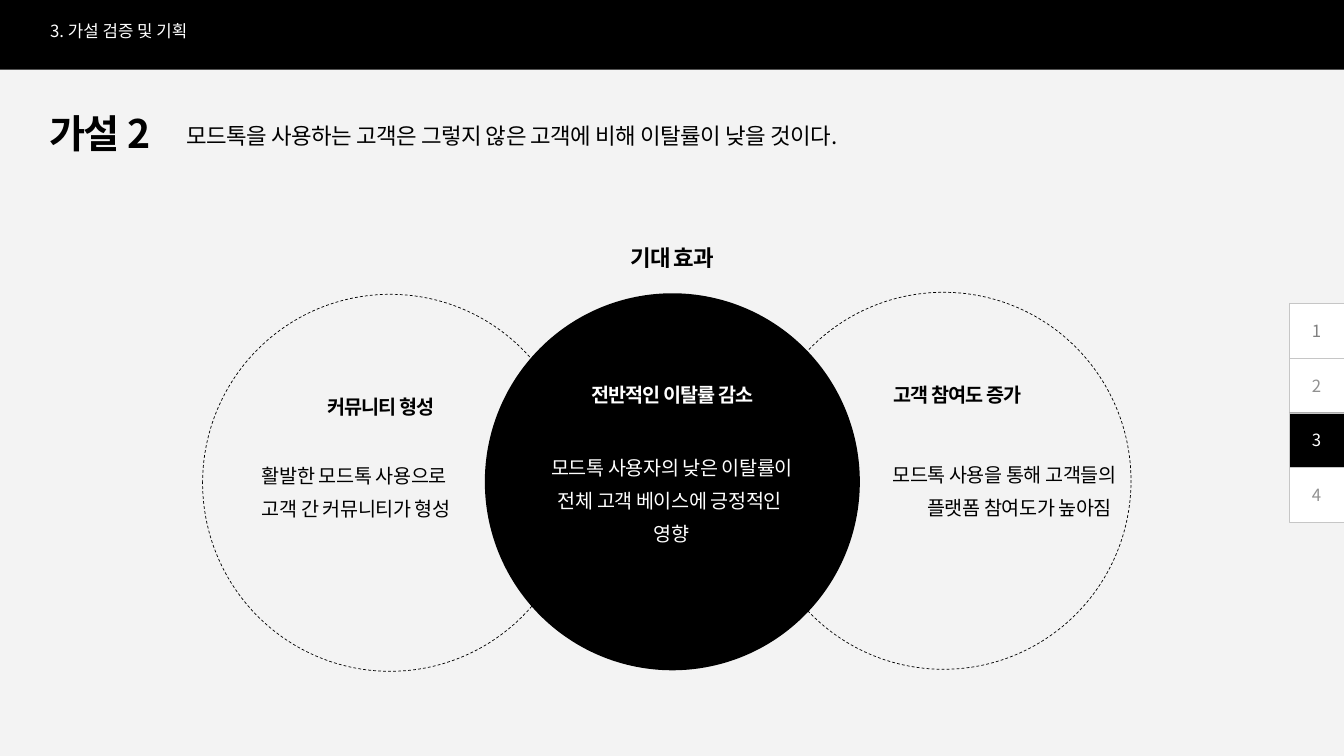
import pptx
import pptx.dml.color
import pptx.enum.dml
import pptx.enum.shapes
import pptx.enum.text
import pptx.oxml.ns
import pptx.util
from dataclasses import dataclass
from lxml import etree

ALIGN = pptx.enum.text.PP_ALIGN
SHAPE = pptx.enum.shapes.MSO_SHAPE
COLUMNS, ROWS = 133.33, 75
CELL = 0.1


@dataclass(frozen=True)
class Theme:
    font: str = "Noto Sans CJK KR"
    ground: str = "F3F3F3"
    ink: str = "000000"
    paper: str = "FFFFFF"
    rule: str = "C6C6C6"
    muted: str = "919191"
    muted_first: str = "808080"
    headline: int = 28
    lead: int = 16
    body: int = 14
    small: int = 12
    hairline: float = 0.5
    tight: float = -0.7
    snug: float = -0.3


THEME = Theme()


def rgb(value):
    return pptx.dml.color.RGBColor.from_string(value)


def grid(*cells):
    return [pptx.util.Inches(round(cell * CELL, 3)) for cell in cells]


def write(tf, lines, size, color, bold=False, align=ALIGN.LEFT, leading=None, tracking=0):
    formats = {"size": pptx.util.Pt(size), "bold": bold, "name": THEME.font}
    for index, line in enumerate(lines):
        p = tf.add_paragraph() if index else tf.paragraphs[0]
        p.alignment = align
        if leading:
            p.line_spacing = leading
        r = p.add_run()
        r.text = line
        r.font.color.rgb = rgb(color)
        for name, value in formats.items():
            setattr(r.font, name, value)
        rpr = r._r.get_or_add_rPr()
        if tracking:
            rpr.set("spc", str(round(tracking * 100)))
        ea = etree.SubElement(rpr, pptx.oxml.ns.qn("a:ea"))
        ea.set("typeface", THEME.font)


def add_text(s, box, lines, size=THEME.body, color=THEME.ink, **style):
    tf = s.shapes.add_textbox(*grid(*box)).text_frame
    tf.word_wrap = True
    tf.auto_size = pptx.enum.text.MSO_AUTO_SIZE.SHAPE_TO_FIT_TEXT
    write(tf, lines, size, color, **style)


def add_heading(s, box, text, **style):
    add_text(s, box, [text], bold=True, align=ALIGN.CENTER, tracking=THEME.tight, **style)


def add_body(s, box, lines, **style):
    add_text(s, box, lines, leading=1.4, tracking=THEME.snug, **style)


def add_figure(s, kind, box, fill, line=None, dashed=False):
    sp = s.shapes.add_shape(kind, *grid(*box))
    sp.shadow.inherit = False
    sp.fill.solid()
    sp.fill.fore_color.rgb = rgb(fill)
    if line:
        sp.line.color.rgb = rgb(line)
        sp.line.width = pptx.util.Pt(THEME.hairline)
        if dashed:
            sp.line.dash_style = pptx.enum.dml.MSO_LINE.DASH
    else:
        sp.line.fill.background()
    return sp


def add_circle(s, left, top, fill=THEME.ground, **outline):
    add_figure(s, SHAPE.OVAL, (left, top, 37.2, 37.4), fill, **outline)


def add_page_tabs(s, current, count=4, side=5.43):
    for index in range(count):
        number = index + 1
        active = number == current
        box = (COLUMNS - side, 30.1 + index * side, side, side)
        sp = add_figure(s, SHAPE.RECTANGLE, box, THEME.ink if active else THEME.paper, THEME.rule)
        sp.text_frame.vertical_anchor = pptx.enum.text.MSO_ANCHOR.MIDDLE
        idle = THEME.muted if index else THEME.muted_first
        color = THEME.paper if active else idle
        write(sp.text_frame, [str(number)], THEME.small, color, align=ALIGN.CENTER)


def add_effects(s):
    for left, top in ((20.1, 29.2), (75, 29)):
        add_circle(s, left, top, line=THEME.ink, dashed=True)
    add_heading(s, (24.6, 37.5, 26.4, 4.5), "커뮤니티 형성", leading=1.5)
    add_body(s, (25, 44.6, 24.5, 7.5), ["활발한 모드톡 사용으로", "고객 간 커뮤니티가 형성"])
    add_heading(s, (53.5, 22.4, 26.4, 4.9), "기대 효과", size=THEME.lead, leading=1.5)
    add_circle(s, 48.1, 29.1, fill=THEME.ink)
    add_heading(s, (81.8, 37.5, 26.4, 3.2), "고객 참여도 증가")
    add_body(s, (85.3, 44.5, 26.4, 7.5),
             ["모드톡 사용을 통해 고객들의 플랫폼 참여도가 높아짐 "], align=ALIGN.RIGHT)
    add_heading(s, (53.5, 37.5, 26.4, 3.2), "전반적인 이탈률 감소", color=THEME.paper)
    add_body(s, (52.1, 43.8, 29.1, 10.7),
             ["모드톡 사용자의 낮은 이탈률이 전체 고객 베이스에 긍정적인 ", "영향"],
             color=THEME.paper, align=ALIGN.CENTER)


def add_header(s):
    add_text(s, (3.9, 9.9, 54.2, 6.1), ["가설 2"], size=THEME.headline,
             bold=True, leading=1.1, tracking=-1)
    add_text(s, (17.5, 10.3, 76.9, 4.9),
             ["모드톡을 사용하는 고객은 그렇지 않은 고객에 비해 이탈률이 낮을 것이다."],
             size=THEME.lead, leading=1.5, tracking=THEME.snug)
    add_figure(s, SHAPE.RECTANGLE, (0, 0, COLUMNS, 6.9), THEME.ink)
    add_text(s, (4, 1.6, 66.7, 3), ["3. 가설 검증 및 기획"],
             size=THEME.small, color=THEME.paper)


def main():
    prs = pptx.Presentation()
    prs.slide_width, prs.slide_height = grid(COLUMNS, ROWS)
    s = prs.slides.add_slide(prs.slide_layouts[6])
    s.background.fill.solid()
    s.background.fill.fore_color.rgb = rgb(THEME.ground)
    add_effects(s)
    add_header(s)
    add_page_tabs(s, current=3)
    prs.save("out.pptx")


if __name__ == "__main__":
    main()
